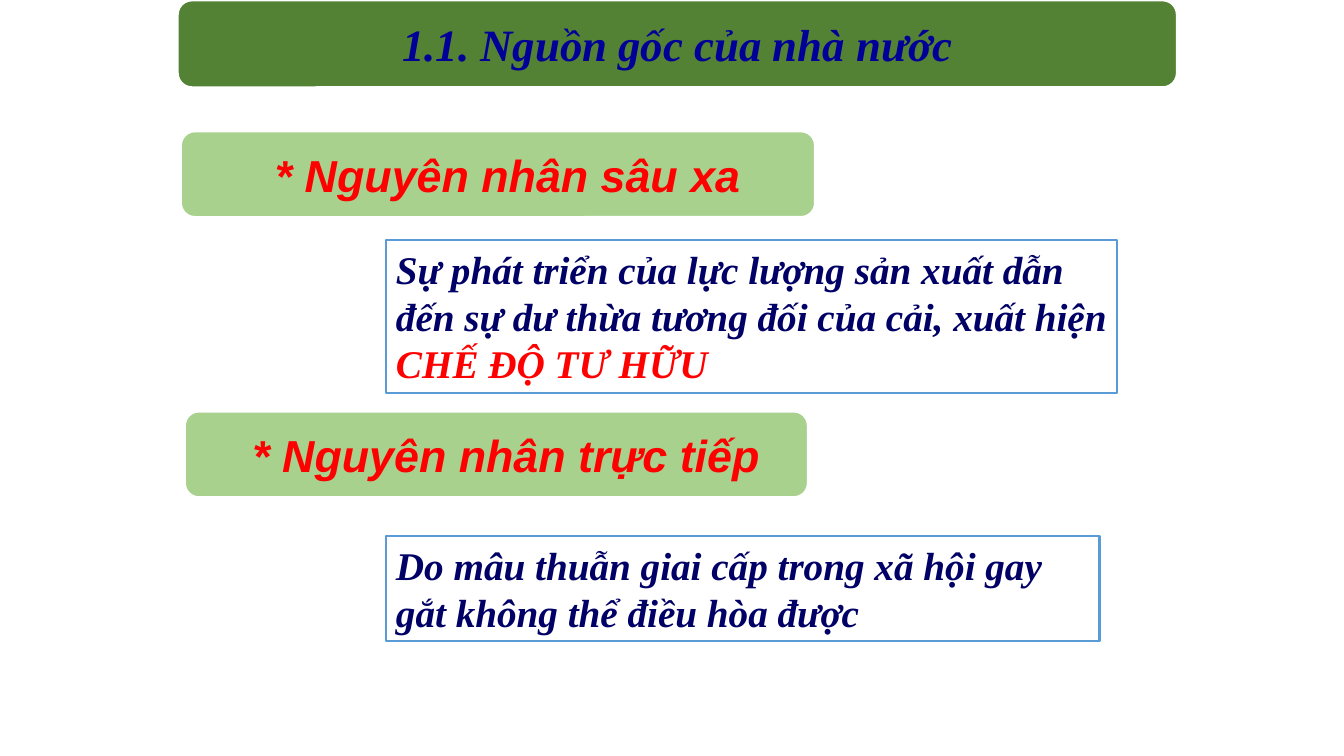
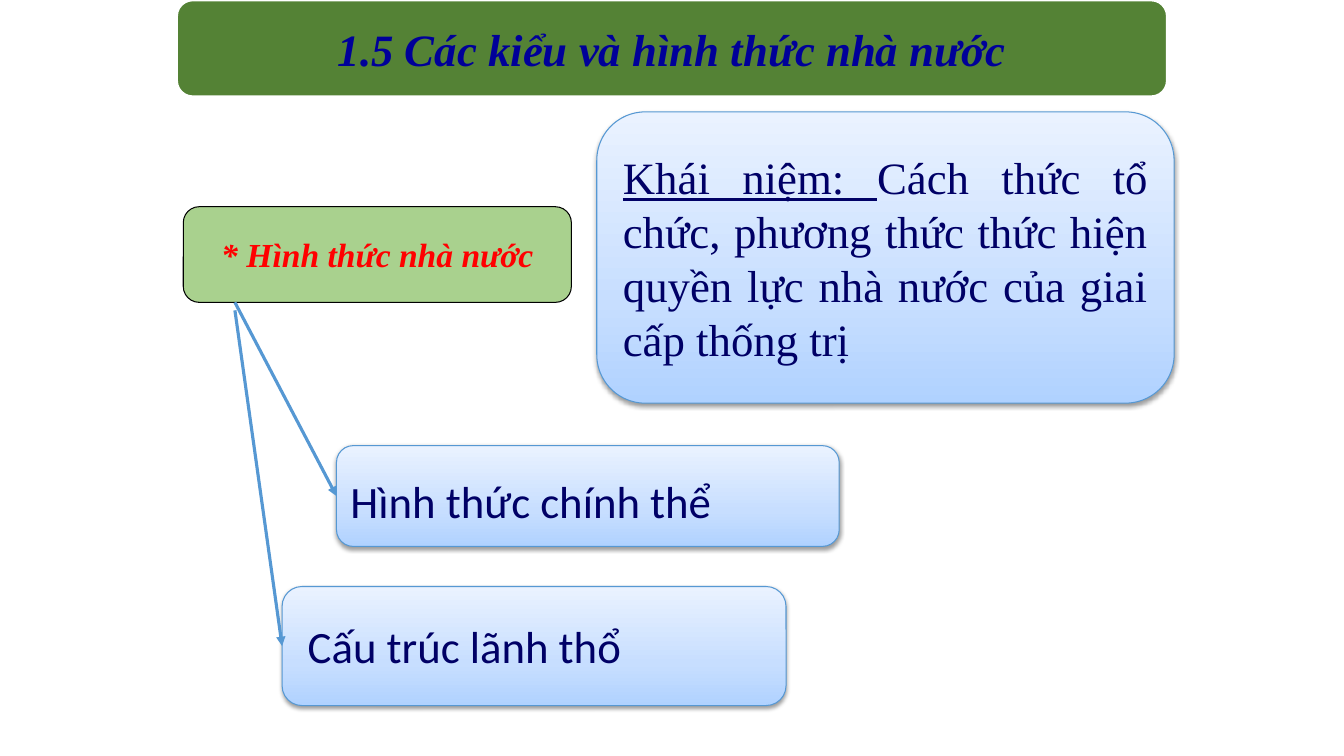
from copy import deepcopy
from dataclasses import dataclass
from typing import Optional

from lxml import etree
from pptx import Presentation
from pptx import util as u
from pptx.dml.color import RGBColor
from pptx.enum import shapes, text
from pptx.oxml.ns import qn

COLORS = {
    "title_band": "548235", "title_text": "000099",
    "heading_band": "A9D18E", "heading_text": "FF0000",
    "body_text": "000066", "body_edge": "5B9BD5",
    "panel_edge": "5698D3", "white": "FFFFFF", "black": "000000",
    "panel_low": "B0D2FF", "panel_mid": "C7DEFF", "panel_high": "EAF2FF",
}
PANEL_STOPS = ((0, "panel_low"), (0.35, "panel_mid"), (1, "panel_high"))
SERIF, SANS, PANEL_FONT = "Times New Roman", "Arial", "Calibri"
ROUND = shapes.MSO_SHAPE.ROUNDED_RECTANGLE


@dataclass(frozen=True)
class Phrase:
    """A run of text; color None means the color of its style."""
    words: str
    color: Optional[str] = None
    underline: bool = False


@dataclass(frozen=True)
class Style:
    edge: str
    edge_width: float
    color: str
    size: int
    fill: Optional[str] = None
    gradient: bool = False
    font: str = SERIF
    emphasis: bool = True
    geometry: shapes.MSO_SHAPE = ROUND
    align: text.PP_ALIGN = text.PP_ALIGN.CENTER
    anchor: text.MSO_ANCHOR = text.MSO_ANCHOR.MIDDLE
    insets: tuple = (0.6, 0, 0.6, 0)
    wrap: bool = True
    grow: bool = False


@dataclass(frozen=True)
class Block:
    """Left, top, width and height in centimetres, with text and style."""
    left: float
    top: float
    width: float
    height: float
    phrases: tuple
    style: Style
    insets: Optional[tuple] = None
    font: Optional[str] = None


TITLE = Style("white", 2, "title_text", 32, fill="title_band")
HEADING = Style("white", 2, "heading_text", 32, fill="heading_band", font=SANS,
                insets=(1.1, 0, 0.6, 0))
BODY = Style("body_edge", 1.5, "body_text", 28, geometry=shapes.MSO_SHAPE.RECTANGLE,
             align=text.PP_ALIGN.LEFT, anchor=text.MSO_ANCHOR.TOP,
             insets=(0.25, 0.13, 0.25, 0.13), grow=True)
TAG = Style("black", 0.75, "heading_text", 24, fill="heading_band",
            geometry=shapes.MSO_SHAPE.FLOWCHART_ALTERNATE_PROCESS, wrap=False)
PANEL = Style("panel_edge", 0.75, "body_text", 32, gradient=True, font=PANEL_FONT,
              emphasis=False, align=text.PP_ALIGN.JUSTIFY)

ORIGIN_BLOCKS = (
    Block(4.47, 0, 25.2, 2.21, (Phrase("1.1. Nguồn gốc của nhà nước"),), TITLE),
    Block(4.55, 3.3, 16, 2.18, (Phrase("* Nguyên nhân sâu xa"),), HEADING),
    Block(4.65, 10.36, 15.72, 2.18, (Phrase("* Nguyên nhân trực tiếp"),), HEADING),
    Block(9.73, 6.05, 18.42, 3.86,
          (Phrase("Sự phát triển của lực lượng sản xuất dẫn đến sự dư thừa "
                  "tương đối của cải, xuất hiện "),
           Phrase("CHẾ ĐỘ TƯ HỮU", "heading_text")), BODY),
    Block(9.73, 13.51, 17.98, 2.64,
          (Phrase("Do mâu thuẫn giai cấp trong xã hội gay gắt không thể "
                  "điều hòa được"),), BODY),
)
FORM_BLOCKS = (
    Block(4.45, 0, 24.97, 2.44, (Phrase("1.5 Các kiểu và hình thức nhà nước"),), TITLE),
    Block(4.62, 5.21, 9.78, 2.41, (Phrase("* Hình thức nhà nước"),), TAG),
    Block(15.04, 2.82, 14.55, 7.34,
          (Phrase("Khái niệm: ", underline=True),
           Phrase("Cách thức tổ chức, phương thức thức hiện quyền lực nhà nước "
                  "của giai cấp thống trị")), PANEL, (0.3, 0, 0.3, 0), SERIF),
)
BRANCH_BLOCKS = (
    Block(8.48, 11.23, 12.67, 2.54, (Phrase("Hình thức chính thể"),), PANEL,
          (0.23, 0.22, 0.3, 0)),
    Block(7.11, 14.78, 12.7, 3, (Phrase("Cấu trúc lãnh thổ"),), PANEL, (0.5, 0, 0.5, 0)),
)
BRANCH_X = 5.92
BRANCH_STARTS = (7.62, 7.82)


def rgb(name: str) -> RGBColor:
    return RGBColor.from_string(COLORS[name])


def paint_panel(shape) -> None:
    """Vertical three-stop gradient with a soft shadow below."""
    shape.fill.gradient()
    shape.fill.gradient_angle = 90
    properties = shape.element.spPr
    stop_list = properties.find(".//" + qn("a:gsLst"))
    stop_list.insert(1, deepcopy(stop_list[0]))
    for stop, (position, color) in zip(shape.fill.gradient_stops, PANEL_STOPS):
        stop.position = position
        stop.color.rgb = rgb(color)
    shadow = etree.SubElement(properties.find(qn("a:effectLst")), qn("a:outerShdw"),
                              blurRad="40000", dist="20000", dir="5400000",
                              rotWithShape="0")
    tone = etree.SubElement(shadow, qn("a:srgbClr"), val=COLORS["black"])
    etree.SubElement(tone, qn("a:alpha"), val="38000")


def write_phrases(shape, block: Block) -> None:
    style = block.style
    frame = shape.text_frame
    frame.word_wrap = style.wrap
    frame.vertical_anchor = style.anchor
    if style.grow:
        frame.auto_size = text.MSO_AUTO_SIZE.SHAPE_TO_FIT_TEXT
    (frame.margin_left, frame.margin_top, frame.margin_right,
     frame.margin_bottom) = map(u.Cm, block.insets or style.insets)
    paragraph = frame.paragraphs[0]
    paragraph.alignment = style.align
    for phrase in block.phrases:
        run = paragraph.add_run()
        run.text = phrase.words
        font = run.font
        font.name = block.font or style.font
        font.size = u.Pt(style.size)
        font.bold = font.italic = style.emphasis
        font.underline = phrase.underline
        font.color.rgb = rgb(phrase.color or style.color)


def draw_block(slide, block: Block):
    style = block.style
    box = map(u.Cm, (block.left, block.top, block.width, block.height))
    shape = slide.shapes.add_shape(style.geometry, *box)
    shape.shadow.inherit = False
    shape.line.color.rgb = rgb(style.edge)
    shape.line.width = u.Pt(style.edge_width)
    if style.gradient:
        paint_panel(shape)
    elif style.fill:
        shape.fill.solid()
        shape.fill.fore_color.rgb = rgb(style.fill)
    else:
        shape.fill.background()
    write_phrases(shape, block)
    return shape


def draw_branch(slide, start_y: float, target) -> None:
    """Arrow from below the tag to the left side of a panel."""
    start = u.Cm(BRANCH_X), u.Cm(start_y)
    arrow = slide.shapes.add_connector(shapes.MSO_CONNECTOR.STRAIGHT, *start, *start)
    arrow.end_connect(target, 1)
    arrow.line.color.rgb = rgb("panel_edge")
    arrow.line.width = u.Pt(2.25)
    properties = arrow.element.spPr
    etree.SubElement(properties.find(qn("a:ln")), qn("a:tailEnd"), type="triangle")
    etree.SubElement(properties, qn("a:effectLst"))


def add_slide(deck, blocks: tuple):
    slide = deck.slides.add_slide(deck.slide_layouts[6])
    for block in blocks:
        draw_block(slide, block)
    return slide


def main() -> None:
    deck = Presentation()
    deck.slide_width, deck.slide_height = u.Cm(33.87), u.Cm(19.05)

    # Origin of the state
    add_slide(deck, ORIGIN_BLOCKS)

    # Forms of the state, with two branches
    forms = add_slide(deck, FORM_BLOCKS)
    branches = [draw_block(forms, block) for block in BRANCH_BLOCKS]
    for start_y, branch in zip(BRANCH_STARTS, branches):
        draw_branch(forms, start_y, branch)

    deck.save("out.pptx")


if __name__ == "__main__":
    main()
